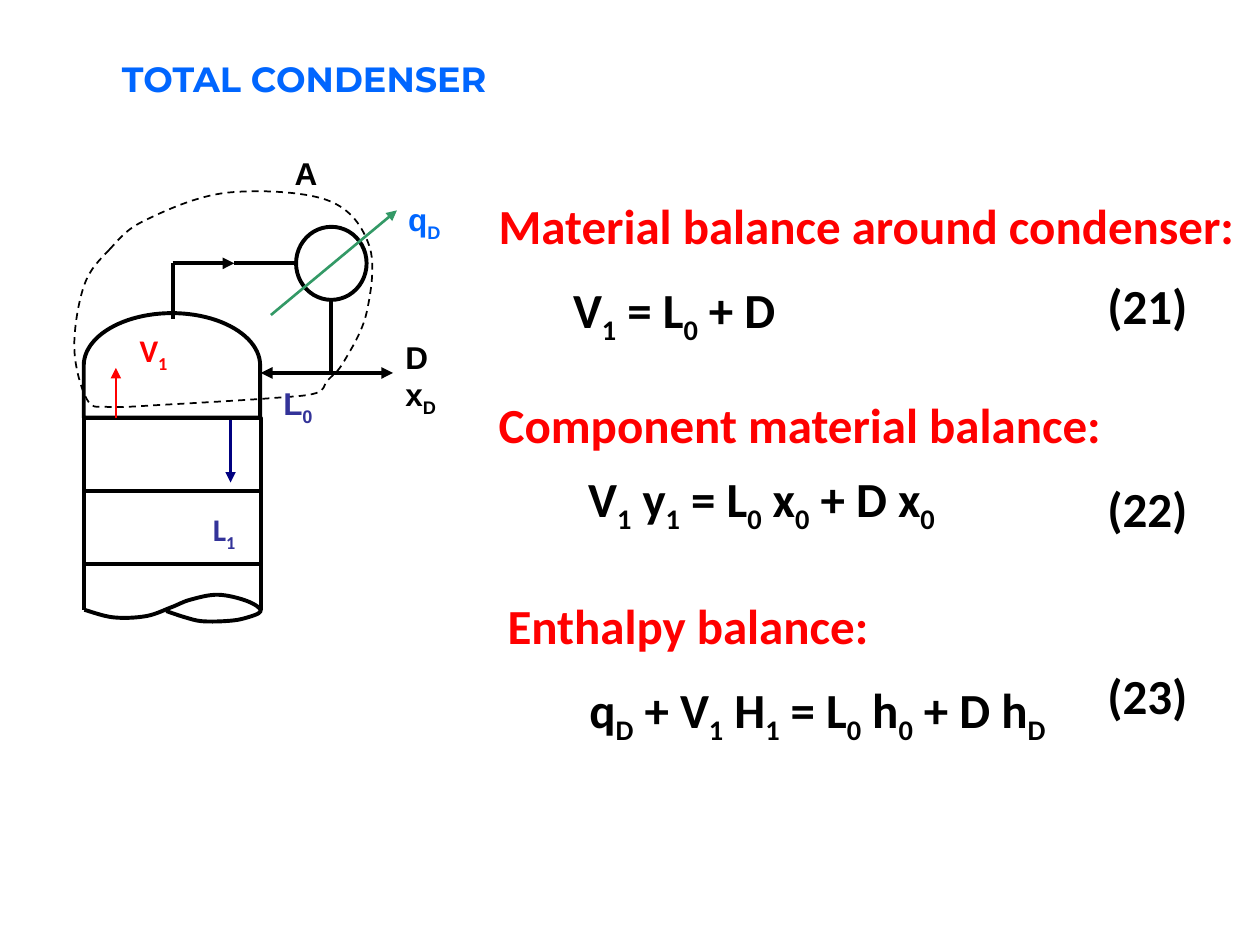
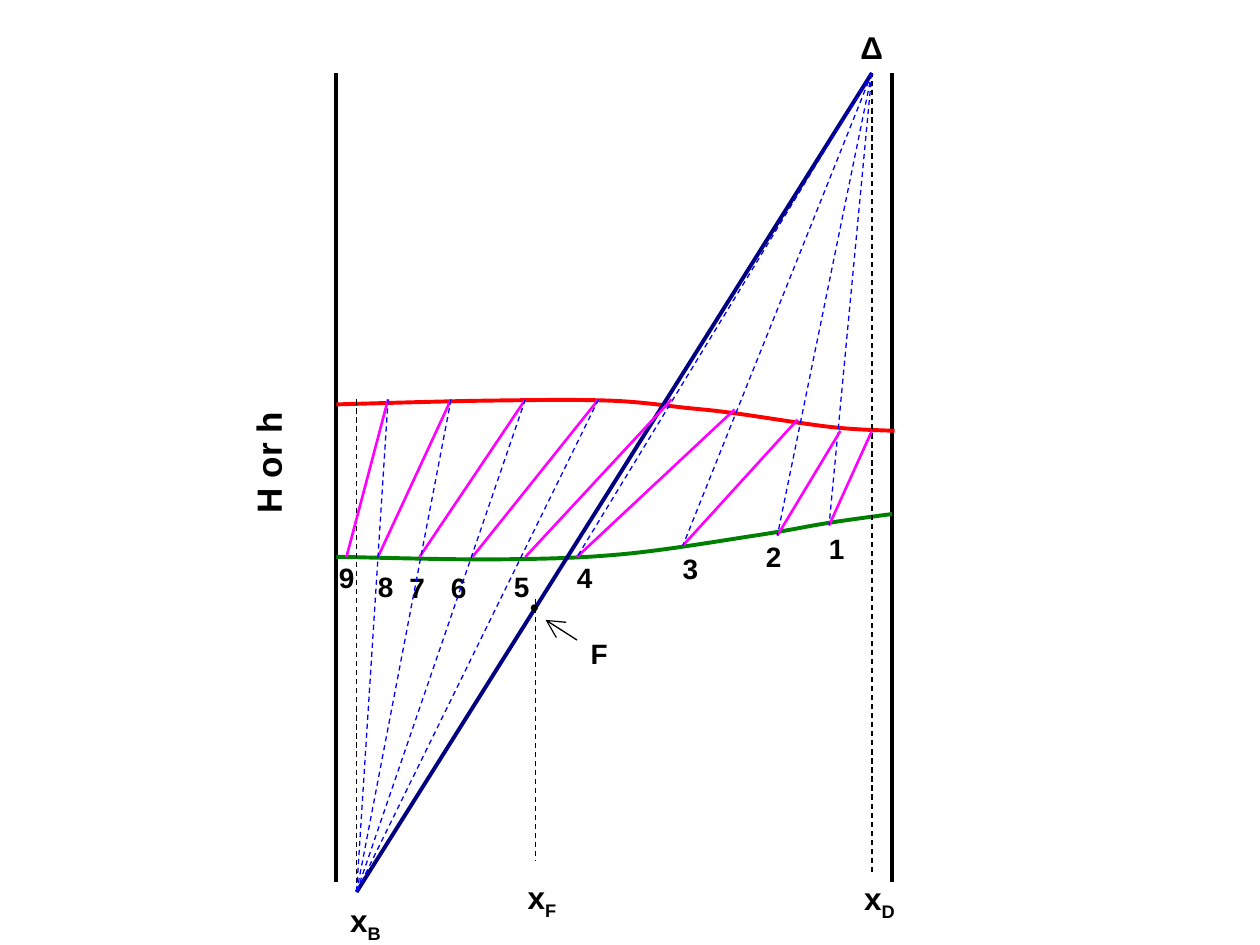
from lxml.etree import SubElement
from pptx import Presentation
from pptx.dml.color import RGBColor
from pptx.enum.dml import MSO_LINE
from pptx.enum.shapes import MSO_CONNECTOR, MSO_SHAPE
from pptx.enum.text import MSO_ANCHOR, MSO_AUTO_SIZE, PP_ALIGN
from pptx.oxml.ns import qn
from pptx.util import Pt

PX = 9144  # EMU per px, 100 px to the inch
TITLE_ONLY, BLANK = 5, 6
BLACK, RED, SKY, INDIGO = "000000", "FF0000", "0066FF", "333399"
NAVY, TEAL, GREEN, BLUE, MAGENTA = "000080", "339966", "008000", "0000FF", "FF00FF"


def color(hex_code):
    return RGBColor.from_string(hex_code)


def bend(outline, closed):
    """Turn the straight segments of an outline into one smooth curve."""
    path = next(outline._element.iter(qn("a:path")))
    nodes = [node for node in path if node.tag != qn("a:close")]
    knots = [(int(node[0].get("x")), int(node[0].get("y"))) for node in nodes]
    before = knots[-2] if closed else knots[0]
    after = knots[1] if closed else knots[-1]
    around = [before, *knots, after]
    for node, a, b, c, d in zip(nodes[1:], around, around[1:], around[2:], around[3:]):
        leaving = [q + (r - p) / 6 for p, q, r in zip(a, b, c)]
        arriving = [r - (s - q) / 6 for q, r, s in zip(b, c, d)]
        segment = SubElement(path, qn("a:cubicBezTo"))
        for x, y in (leaving, arriving, c):
            SubElement(segment, qn("a:pt"), x=str(round(x)), y=str(round(y)))
        path.replace(node, segment)


class Sketch:
    """Holds the shared style and the slide being drawn."""

    def __init__(self):
        self.deck = Presentation()
        self.deck.slide_width, self.deck.slide_height = 1000 * PX, 750 * PX
        self.slide = None

    def new_slide(self, layout):
        self.slide = self.deck.slides.add_slide(self.deck.slide_layouts[layout])

    def place(self, shape, left, top, width, height):
        shape.left, shape.top = left * PX, top * PX
        shape.width, shape.height = width * PX, height * PX

    def font(self, paragraph, size, hex_code, face):
        paragraph.font.size, paragraph.font.bold = Pt(size), True
        paragraph.font.name = face
        paragraph.font.color.rgb = color(hex_code)

    def stroke(self, shape, hex_code, weight, dashed):
        shape.line.color.rgb = color(hex_code)
        shape.line.width = Pt(weight)
        if dashed:
            shape.line.dash_style = MSO_LINE.DASH

    def title(self, text, box):
        heading = self.slide.shapes.title
        self.place(heading, *box)
        frame = heading.text_frame
        frame.text = text
        frame.word_wrap, frame.auto_size = False, MSO_AUTO_SIZE.NONE
        frame.vertical_anchor = MSO_ANCHOR.TOP
        frame.paragraphs[0].alignment = PP_ALIGN.CENTER
        self.font(frame.paragraphs[0], 20, SKY, "Montserrat")

    def text(self, text, box, size=18, hex_code=BLACK, face="Arial", turn=0):
        """Add text; the character after each underscore is a subscript."""
        label = self.slide.shapes.add_textbox(0, 0, 0, 0)
        self.place(label, *box)
        label.rotation = turn
        frame = label.text_frame
        frame.word_wrap, frame.auto_size = False, MSO_AUTO_SIZE.SHAPE_TO_FIT_TEXT
        for index, row in enumerate(text.split("\n")):
            paragraph = frame.add_paragraph() if index else frame.paragraphs[0]
            self.font(paragraph, size, hex_code, face)
            base, *marked = row.split("_")
            paragraph.add_run().text = base
            for part in marked:
                subscript = paragraph.add_run()
                subscript.text = part[0]
                subscript.font._element.set("baseline", "-25000")
                if part[1:]:
                    paragraph.add_run().text = part[1:]

    def line(self, start, end, hex_code=BLACK, weight=2.25, dashed=False,
             head=None, head_size="med"):
        link = self.slide.shapes.add_connector(
            MSO_CONNECTOR.STRAIGHT, *(n * PX for n in (*start, *end)))
        self.stroke(link, hex_code, weight, dashed)
        if head:
            SubElement(link.line._get_or_add_ln(), qn("a:tailEnd"),
                       type=head, w=head_size, len=head_size)
        SubElement(link._element.spPr, qn("a:effectLst"))

    def outline(self, preset, box, turn=0):
        shape = self.slide.shapes.add_shape(preset, 0, 0, 0, 0)
        self.place(shape, *box)
        shape.rotation = turn
        shape.shadow.inherit = False
        shape.fill.background()
        self.stroke(shape, BLACK, 2.25, False)

    def curve(self, knots, hex_code=BLACK, weight=2.25, dashed=False, closed=False):
        first, *rest = [(x * PX, y * PX) for x, y in knots]
        if closed:
            rest.append(first)
        builder = self.slide.shapes.build_freeform(*first, scale=1.0)
        builder.add_line_segments(rest, close=closed)
        outline = builder.convert_to_shape()
        bend(outline, closed)
        outline.shadow.inherit = False
        outline.fill.background()
        self.stroke(outline, hex_code, weight, dashed)


def condenser(sketch):
    sketch.new_slide(TITLE_ONLY)
    sketch.title("TOTAL CONDENSER", (50, 41, 383, 33))

    # Balances: heading, equation and number
    balances = [
        ("Material balance around condenser:", (386, 150, 606, 57),
         "V_1 = L_0 + D", (445, 217, 186, 63), "(21)", 214),
        ("Component material balance:", (386, 308, 499, 57),
         "V_1 y_1 = L_0 x_0 + D x_0", (457, 367, 304, 63), "(22)", 375),
        ("Enthalpy balance:", (393, 468, 307, 57),
         "q_D + V_1 H_1 = L_0 h_0 + D h_D", (458, 534, 382, 63), "(23)", 523),
    ]
    for heading, heading_box, equation, equation_box, number, number_top in balances:
        sketch.text(heading, heading_box, 28, RED, "Calibri")
        sketch.text(equation, equation_box, 28, face="Calibri")
        sketch.text(number, (869, number_top, 131, 57), 28, face="Calibri")

    # Column with its trays and torn lower end
    sketch.outline(MSO_SHAPE.FLOWCHART_DELAY, (95, 220, 83, 140), 270)
    for tray_top in (332, 390):
        sketch.outline(MSO_SHAPE.RECTANGLE, (67, tray_top, 140, 58))
    for wall in (67, 207):
        sketch.line((wall, 448), (wall, 484))
    sketch.curve([(67, 484), (90, 490), (116, 489), (136, 482), (151, 476), (173, 472),
                  (196, 477), (207, 485), (193, 491), (178, 493), (160, 493),
                  (147, 490), (132, 485)])

    # Condenser and its piping
    sketch.outline(MSO_SHAPE.OVAL, (235, 180, 56, 58))
    pipes = [((137, 253), (137, 209), None), ((137, 209), (186, 209), "triangle"),
             ((186, 209), (235, 209), None), ((263, 238), (263, 296), None),
             ((263, 296), (207, 296), "triangle"), ((263, 296), (312, 296), "triangle")]
    for start, end, head in pipes:
        sketch.line(start, end, head=head)

    # Vapour, liquid and heat flows
    for start, end, hex_code in [((92, 332), (92, 292), RED),
                                 ((183, 333), (183, 383), NAVY),
                                 ((215, 250), (315, 167), TEAL)]:
        sketch.line(start, end, hex_code, 1.5, head="triangle")

    # Balance envelope
    sketch.curve([(87, 198), (67, 226), (59, 276), (69, 317), (86, 323), (135, 321),
                  (216, 316), (251, 312), (260, 302), (273, 287), (291, 248),
                  (293, 195), (260, 159), (180, 153), (115, 175)],
                 weight=1, dashed=True, closed=True)

    # Stream labels
    sketch.text("A", (224, 117, 38, 40))
    sketch.text("V_1", (101, 258, 42, 44), hex_code=RED, face="Calibri")
    sketch.text("L_1", (159, 400, 38, 44), hex_code=INDIGO, face="Calibri")
    sketch.text("L_0", (215, 300, 43, 44), hex_code=INDIGO)
    sketch.text("D\nx_D", (312, 263, 44, 74))
    sketch.text("q_D", (314, 154, 46, 44), hex_code=SKY)


def enthalpy_diagram(sketch):
    sketch.new_slide(BLANK)
    delta, bottoms = (692, 58), (283, 708)

    # Axes
    for axis in (267, 708):
        sketch.line((axis, 58), (axis, 700))
    sketch.text("H or h", (160, 342, 106, 44), 20, turn=270)

    # Saturated liquid and vapour curves
    sketch.curve([(267, 442), (393, 444), (493, 440), (600, 425), (658, 415),
                  (708, 408)], GREEN)
    sketch.curve([(267, 321), (387, 318), (484, 318), (547, 324), (583, 328),
                  (660, 339), (710, 342)], RED)

    # Composition lines and overall operating line
    for start, end in [((692, 692), delta), (bottoms, (283, 317)),
                       ((425, 475), (425, 683))]:
        sketch.line(start, end, weight=0.75, dashed=True)
    sketch.line(bottoms, delta, NAVY)

    # Stages: liquid point, vapour point, corner of the number
    stages = [((658, 417), (692, 342), (648, 417)), ((617, 425), (667, 342), (598, 423)),
              ((542, 433), (633, 333), (532, 433)), ((458, 442), (583, 325), (448, 440)),
              ((417, 442), (533, 317), (398, 447)), ((375, 442), (475, 317), (348, 448)),
              ((333, 442), (417, 317), (315, 448)), ((300, 442), (358, 317), (290, 447)),
              ((275, 442), (308, 317), (259, 440))]
    feed_stage = 5
    for stage, (liquid, vapour, corner) in enumerate(stages, 1):
        sketch.line(liquid, vapour, MAGENTA, 1.5)
        if stage < feed_stage:
            sketch.line(delta, liquid, BLUE, 0.75, dashed=True)
        elif stage > feed_stage:
            sketch.line(vapour, bottoms, BLUE, 0.75, dashed=True)
        sketch.text(str(stage), (*corner, 32, 37), 16)

    # Feed point
    sketch.text("•", (411, 465, 28, 34), 14)
    sketch.line((458, 508), (433, 492), weight=0.75, head="arrow", head_size="lg")
    sketch.text("F", (459, 500, 33, 37), 16)

    # Composition labels and difference point
    sketch.text("x_F", (409, 692, 43, 44))
    sketch.text("x_D", (676, 693, 44, 44))
    sketch.text("x_B", (268, 710, 44, 44))
    sketch.text("Δ", (673, 17, 35, 40))


def main():
    sketch = Sketch()
    condenser(sketch)
    enthalpy_diagram(sketch)
    sketch.deck.save("out.pptx")


if __name__ == "__main__":
    main()
